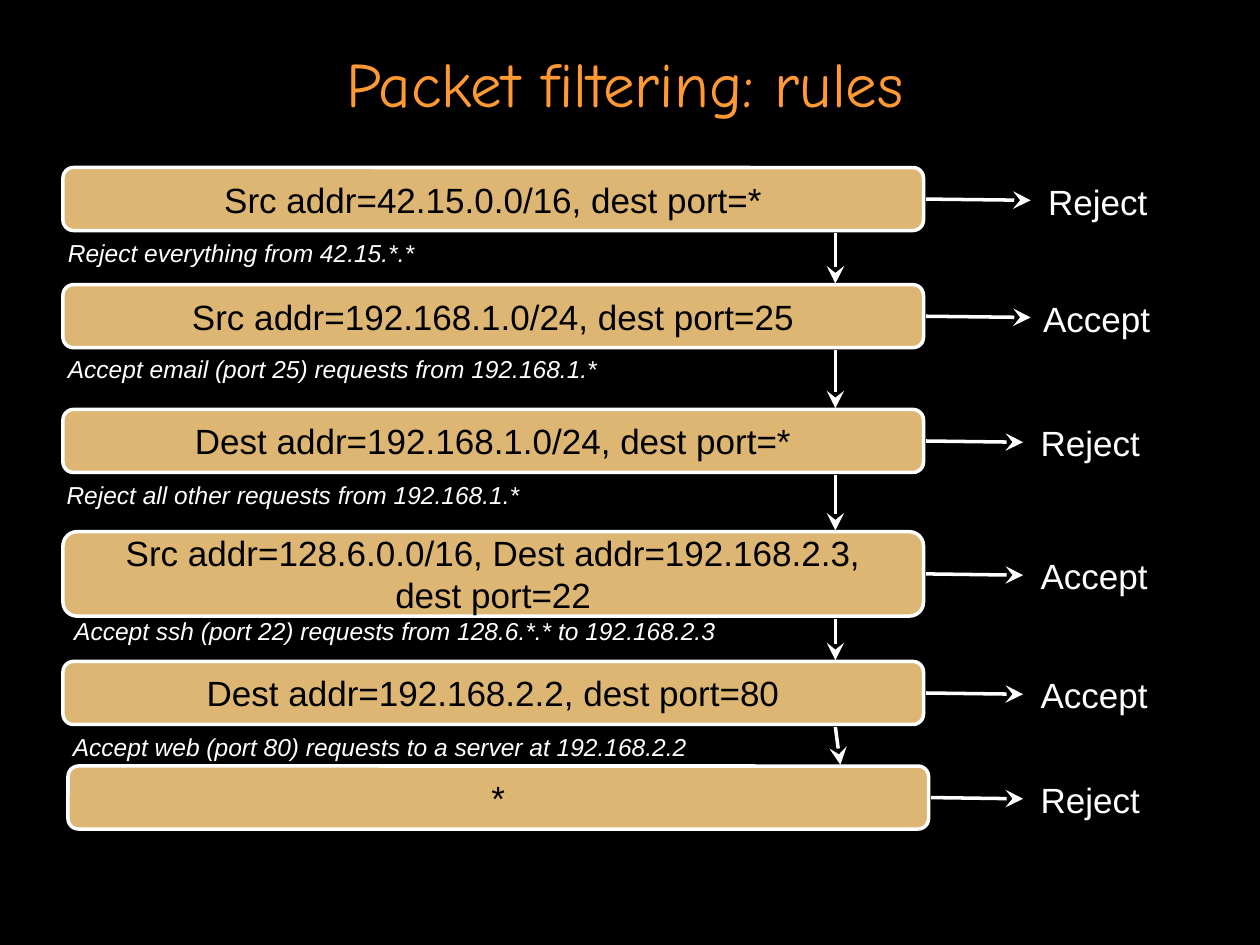
from dataclasses import dataclass
from itertools import pairwise

from lxml import etree
from pptx import Presentation
from pptx.dml.color import RGBColor
from pptx.enum.shapes import MSO_CONNECTOR, MSO_SHAPE
from pptx.enum.text import MSO_ANCHOR, MSO_AUTO_SIZE, PP_ALIGN
from pptx.oxml.ns import qn
from pptx.util import Inches, Pt

COLORS = {
    "background": "000000",
    "title": "FF9933",
    "rule": "DCB672",
    "rule_text": "000000",
    "light": "FFFFFF",
}
RULE_WIDTH = 6.83
CHAIN_OFFSET = 6.13  # from the left edge of a rule to the downward arrow


@dataclass
class Rule:
    match: str
    verdict: str
    top: float
    note: str = ""
    note_width: float = 0
    note_left: float = 0.44
    note_gap: float = 0.01
    left: float = 0.5
    height: float = 0.5
    arrow_end: float = 8.12
    verdict_left: float = 8.16

    @property
    def bottom(self):
        return self.top + self.height

    @property
    def middle(self):
        return self.top + self.height / 2


RULES = [
    Rule("Src addr=42.15.0.0/16, dest port=*", "Reject", 1.33,
         "Reject everything from 42.15.*.*", 2.95,
         arrow_end=8.18, verdict_left=8.22),
    Rule("Src addr=192.168.1.0/24, dest port=25", "Accept", 2.26,
         "Accept email (port 25) requests from 192.168.1.*", 4.42, note_gap=0,
         arrow_end=8.18, verdict_left=8.18),
    Rule("Dest addr=192.168.1.0/24, dest port=*", "Reject", 3.25,
         "Reject all other requests from 192.168.1.*", 3.8, note_left=0.43),
    Rule("Src addr=128.6.0.0/16, Dest addr=192.168.2.3,\vdest port=22", "Accept", 4.22,
         "Accept ssh (port 22) requests from 128.6.*.* to 192.168.2.3", 5.31,
         note_left=0.49, note_gap=-0.05, height=0.67),
    Rule("Dest addr=192.168.2.2, dest port=80", "Accept", 5.25,
         "Accept web (port 80) requests to a server at 192.168.2.2", 5.08,
         note_left=0.48),
    Rule("*", "Reject", 6.08, left=0.54),
]
VERDICT_WIDTHS = {"Reject": 0.99, "Accept": 1.05}


def color(name):
    return RGBColor.from_string(COLORS[name])


def write(shape, text, size, ink, font="Arial", align=PP_ALIGN.LEFT,
          anchor=MSO_ANCHOR.TOP, italic=False, wrap=False):
    frame = shape.text_frame
    frame.word_wrap = wrap
    frame.vertical_anchor = anchor
    para = frame.paragraphs[0]
    para.text = text
    para.alignment = align
    para.font.name = font
    para.font.size = Pt(size)
    para.font.italic = italic
    para.font.color.rgb = color(ink)


def add_text(page, left, top, width, height, text, size, ink="light", **style):
    box = page.shapes.add_textbox(
        Inches(left), Inches(top), Inches(width), Inches(height))
    write(box, text, size, ink, **style)
    return box


def add_label(page, left, top, width, height, text, size, **style):
    # One line that sizes its box to the text
    label = add_text(page, left, top, width, height, text, size, **style)
    label.text_frame.auto_size = MSO_AUTO_SIZE.SHAPE_TO_FIT_TEXT


def add_arrow(page, start, end):
    arrow = page.shapes.add_connector(
        MSO_CONNECTOR.STRAIGHT, *(Inches(value) for value in (*start, *end)))
    arrow.line.color.rgb = color("light")
    arrow.line.width = Pt(2)
    etree.SubElement(arrow.line._get_or_add_ln(), qn("a:tailEnd"),
                     type="stealth", w="lg", len="lg")
    etree.SubElement(arrow._element.spPr, qn("a:effectLst"))


def add_title(page, left, top, width, height):
    add_text(page, left, top, width, height, "Packet filtering: rules", 36, "title",
             font="Comic Neue", align=PP_ALIGN.CENTER, anchor=MSO_ANCHOR.MIDDLE, wrap=True)


def add_rule(page, rule):
    # Matching condition
    box = page.shapes.add_shape(
        MSO_SHAPE.ROUNDED_RECTANGLE, Inches(rule.left), Inches(rule.top),
        Inches(RULE_WIDTH), Inches(rule.height))
    box.shadow.inherit = False
    box.fill.solid()
    box.fill.fore_color.rgb = color("rule")
    box.line.color.rgb = color("light")
    box.line.width = Pt(2)
    write(box, rule.match, 20, "rule_text",
          align=PP_ALIGN.CENTER, anchor=MSO_ANCHOR.MIDDLE)

    # Verdict to its right
    add_arrow(page, (rule.left + RULE_WIDTH + 0.02, rule.middle),
              (rule.arrow_end, rule.middle + 0.01))
    add_label(page, rule.verdict_left, rule.middle - 0.2,
              VERDICT_WIDTHS[rule.verdict], 0.44, rule.verdict, 20)

    # Explanation underneath
    if rule.note:
        add_label(page, rule.note_left, rule.bottom + rule.note_gap,
                  rule.note_width, 0.34, rule.note, 14, italic=True)


def add_chain(page, rules):
    for rule in rules:
        add_rule(page, rule)

    # Arrows from each rule to the next
    for upper, lower in pairwise(rules):
        add_arrow(page, (upper.left + CHAIN_OFFSET, upper.bottom + 0.02),
                  (lower.left + CHAIN_OFFSET, lower.top - 0.01))


def main():
    deck = Presentation()
    deck.slide_width, deck.slide_height = Inches(10), Inches(7.5)
    page = deck.slides.add_slide(deck.slide_layouts[6])
    page.background.fill.solid()
    page.background.fill.fore_color.rgb = color("background")
    add_title(page, 0.25, 0.3, 9.42, 0.7)
    add_chain(page, RULES)
    deck.save("out.pptx")


if __name__ == "__main__":
    main()
